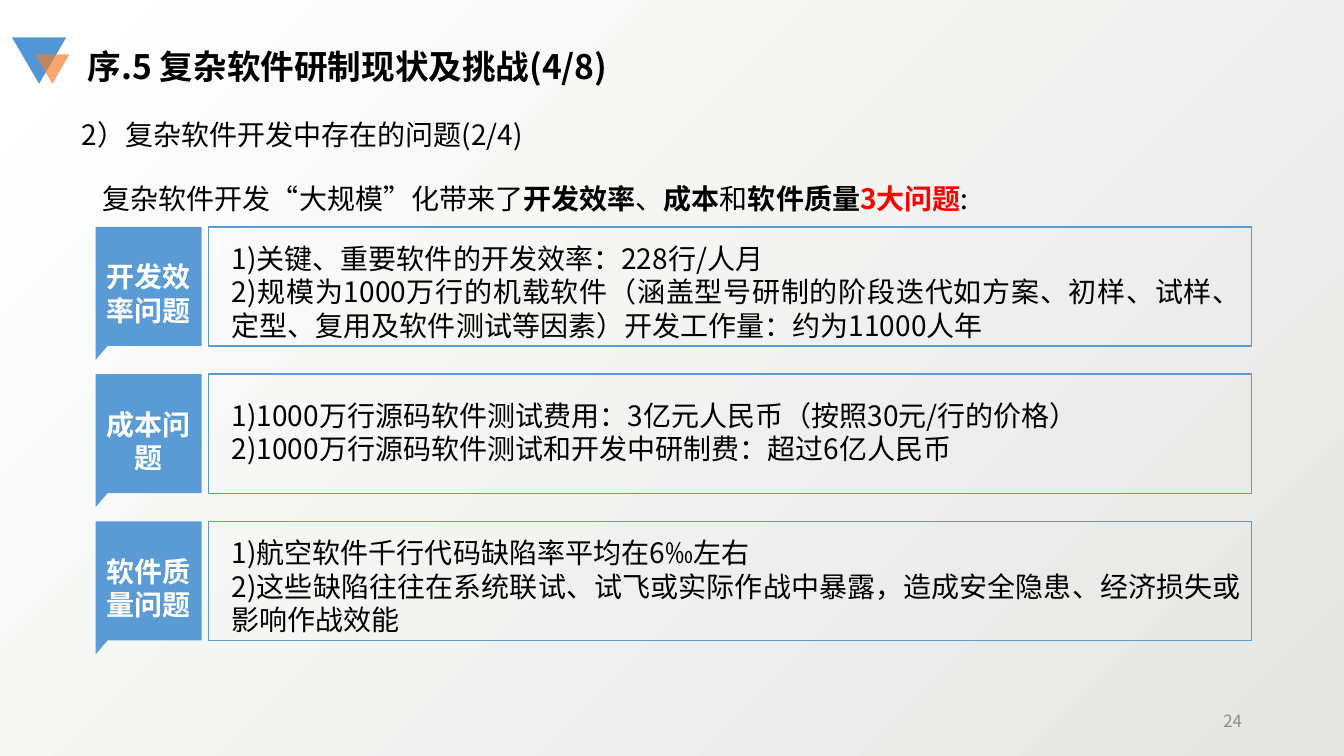
from collections import namedtuple

from lxml import etree
from pptx import Presentation
from pptx.dml.color import RGBColor
from pptx.enum.lang import MSO_LANGUAGE_ID
from pptx.enum.shapes import MSO_SHAPE
from pptx.enum.text import MSO_ANCHOR, MSO_AUTO_SIZE, PP_ALIGN
from pptx.oxml.ns import qn
from pptx.util import Cm, Pt

FONT = "Noto Sans CJK SC"
BLACK, WHITE, RED, GREY = "000000", "FFFFFF", "FF0000", "8C8C8C"
BLUE, LOGO_BLUE, LOGO_ORANGE = "5B9BD5", "5197D7", "F37D2A"

Box = namedtuple("Box", "left top width height")  # centimetres

INTRO = [
    ("复杂软件开发“大规模”化带来了", {}),
    ("开发效率", {"bold": True}),
    ("、", {}),
    ("成本", {"bold": True}),
    ("和", {}),
    ("软件质量", {"bold": True}),
    ("3大问题", {"bold": True, "color": RED}),
    (":", {}),
]

# Tag, offset of the text below the top of its frame, findings
PROBLEMS = [
    ("开发效率问题", 0.23, [
        "1)关键、重要软件的开发效率：228行/人月",
        "2)规模为1000万行的机载软件（涵盖型号研制的阶段迭代如方案、初样、试样、"
        "定型、复用及软件测试等因素）开发工作量：约为11000人年",
    ]),
    ("成本问题", 0.48, [
        "1)1000万行源码软件测试费用：3亿元人民币（按照30元/行的价格）",
        "2)1000万行源码软件测试和开发中研制费：超过6亿人民币",
    ]),
    ("软件质量问题", 0.23, [
        "1)航空软件千行代码缺陷率平均在6‰左右",
        "2)这些缺陷往往在系统联试、试飞或实际作战中暴露，造成安全隐患、"
        "经济损失或影响作战效能",
    ]),
]
PROBLEM_PITCH = 3.71


def rgb(hex_color):
    return RGBColor.from_string(hex_color)


def lengths(box):
    return [Cm(value) for value in box]


def write_text(shape, paragraphs, size=20, color=BLACK, bold=False,
               align=PP_ALIGN.LEFT, anchor=MSO_ANCHOR.TOP):
    """Fill a shape; a paragraph is a string or a list of (text, format) runs."""
    frame = shape.text_frame
    frame.word_wrap = True
    frame.auto_size = MSO_AUTO_SIZE.NONE
    frame.vertical_anchor = anchor
    for index, content in enumerate(paragraphs):
        paragraph = frame.add_paragraph() if index else frame.paragraphs[0]
        paragraph.alignment = align
        runs = [(content, {})] if isinstance(content, str) else content
        for text, changes in runs:
            run = paragraph.add_run()
            run.text = text
            font = run.font
            font.name = FONT
            font.size = Pt(size)
            font.bold = changes.get("bold", bold)
            font.color.rgb = rgb(changes.get("color", color))
            font.language_id = MSO_LANGUAGE_ID.SIMPLIFIED_CHINESE
            east_asian = etree.Element(qn("a:ea"), typeface=FONT)
            run.font._element.find(qn("a:latin")).addnext(east_asian)


def add_text(slide, box, paragraphs, **text_format):
    write_text(slide.shapes.add_textbox(*lengths(box)), paragraphs, **text_format)


def paint(shape, color):
    shape.shadow.inherit = False
    shape.fill.solid()
    shape.fill.fore_color.rgb = rgb(color)
    shape.line.fill.background()


def paint_background(slide):
    fill = slide.background.fill
    fill.gradient()
    fill.gradient_angle = 135
    for stop, color in zip(fill.gradient_stops, ("E6E6E5", WHITE)):
        stop.color.rgb = rgb(color)


def add_down_triangle(slide, box, color, opacity=100):
    triangle = slide.shapes.add_shape(MSO_SHAPE.ISOSCELES_TRIANGLE, *lengths(box))
    triangle.rotation = 180
    paint(triangle, color)
    if opacity < 100:
        fill_color = triangle.element.spPr.find(".//" + qn("a:srgbClr"))
        etree.SubElement(fill_color, qn("a:alpha"), val=str(opacity * 1000))


def add_heading(slide, box):
    left, top, width, height = box
    add_down_triangle(slide, Box(left, top, 1.37, 1.17), LOGO_BLUE)
    add_down_triangle(slide, Box(left + 0.59, top + 0.43, 0.86, 0.74),
                      LOGO_ORANGE, opacity=68)
    title = slide.shapes.title
    title.left, title.top, title.width, title.height = lengths(
        Box(left + 1.66, top + 0.08, width - 1.66, height - 0.08))
    write_text(title, ["序.5 复杂软件研制现状及挑战(4/8)"], size=24, bold=True)


def add_tag(slide, box, label):
    """Draw a label whose bottom left corner ends in a small tail."""
    left, top, width, height = box
    right, bottom = left + width, top + height
    outline = [(right, top), (right, bottom), (left + 0.3, bottom),
               (left, bottom + 0.35)]
    builder = slide.shapes.build_freeform(Cm(left), Cm(top))
    builder.add_line_segments([(Cm(x), Cm(y)) for x, y in outline])
    tag = builder.convert_to_shape()
    paint(tag, BLUE)
    write_text(tag, [label], color=WHITE, bold=True,
               align=PP_ALIGN.CENTER, anchor=MSO_ANCHOR.MIDDLE)


def add_problem(slide, box, label, text_offset, findings):
    left, top, width, height = box
    add_tag(slide, Box(left, top, 2.67, height), label)
    frame = slide.shapes.add_shape(
        MSO_SHAPE.RECTANGLE,
        *lengths(Box(left + 2.84, top, width - 2.84, height)))
    frame.shadow.inherit = False
    frame.fill.background()
    frame.line.color.rgb = rgb(BLUE)
    frame.line.width = Pt(1)
    add_text(slide, Box(left + 3.18, top + text_offset, width - 3.2,
                        height - text_offset),
             findings, align=PP_ALIGN.JUSTIFY)


def main():
    presentation = Presentation()
    presentation.slide_width, presentation.slide_height = Cm(33.87), Cm(19.05)
    slide = presentation.slides.add_slide(presentation.slide_layouts[5])
    paint_background(slide)
    add_heading(slide, Box(0.3, 0.94, 18.75, 1.35))
    add_text(slide, Box(1.81, 2.84, 16.8, 1.12),
             ["2）复杂软件开发中存在的问题(2/4)"])
    add_text(slide, Box(2.34, 4.45, 29.59, 1.12), [INTRO])
    for row, problem in enumerate(PROBLEMS):
        add_problem(slide, Box(2.41, 5.72 + row * PROBLEM_PITCH, 29.13, 3), *problem)
    add_text(slide, Box(23.93, 17.65, 7.62, 1.02), ["24"], size=12, color=GREY,
             align=PP_ALIGN.RIGHT, anchor=MSO_ANCHOR.MIDDLE)
    presentation.save("out.pptx")


if __name__ == "__main__":
    main()
